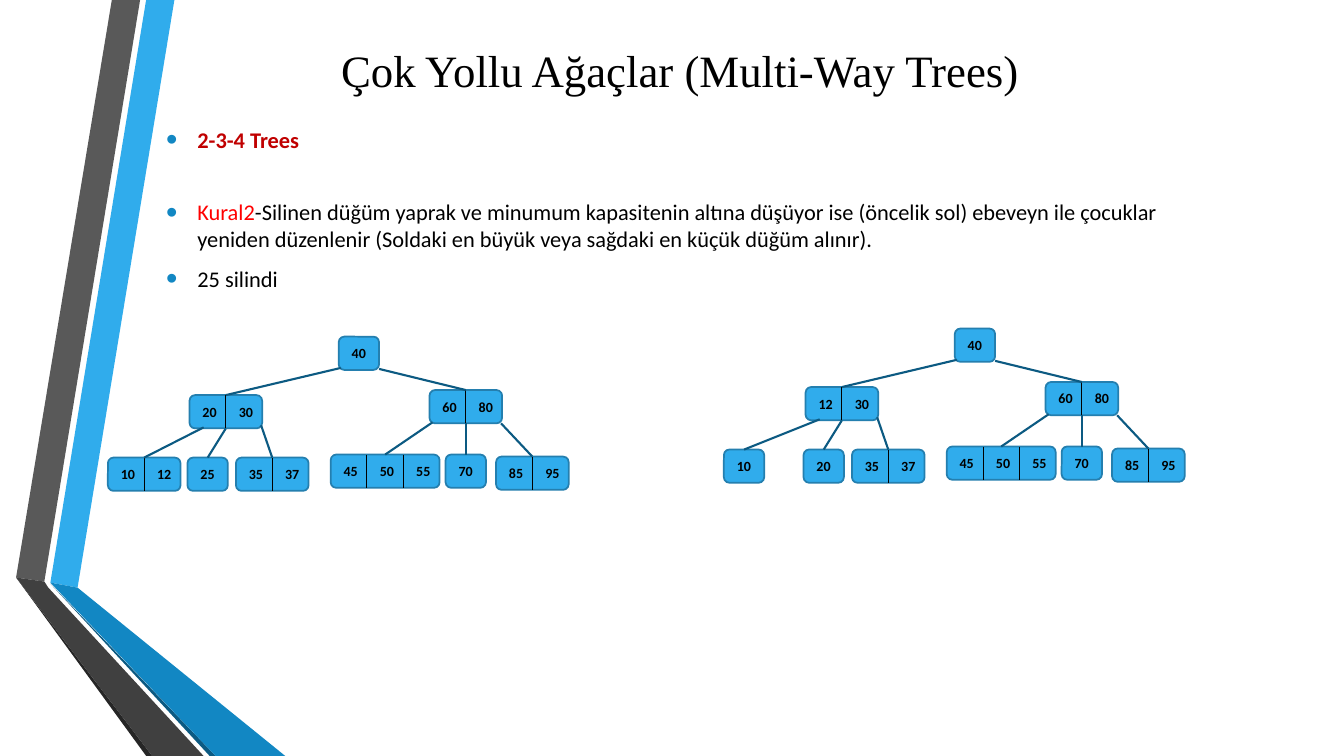
"""Build a slide showing a deletion in a 2-3-4 tree, before and after."""
from lxml.etree import SubElement
from pptx import Presentation
from pptx.dml.color import RGBColor
from pptx.enum.shapes import MSO_CONNECTOR, MSO_SHAPE
from pptx.enum.text import MSO_ANCHOR, PP_ALIGN
from pptx.oxml.ns import qn
from pptx.util import Inches, Pt

BLACK = RGBColor(0x00, 0x00, 0x00)
CRIMSON = RGBColor(0xC0, 0x00, 0x00)
RED = RGBColor(0xFF, 0x00, 0x00)
SKY = RGBColor(0x30, 0xAC, 0xEC)
NODE_LINE = RGBColor(0x24, 0x7F, 0xAF)
EDGE = RGBColor(0x0C, 0x5A, 0x82)
BLUE = RGBColor(0x12, 0x87, 0xC3)
GRAY = RGBColor(0x59, 0x59, 0x59)
DARK = RGBColor(0x40, 0x40, 0x40)
SHADE = RGBColor(0x26, 0x26, 0x26)

deck = Presentation()
deck.slide_width, deck.slide_height = Inches(13.33), Inches(7.5)
page = deck.slides.add_slide(deck.slide_layouts[6])


def add_text(para, text, size=16, color=BLACK, bold=False, font="Calibri"):
    span = para.add_run()
    span.text = text
    span.font.size, span.font.bold, span.font.name = Pt(size), bold, font
    span.font.color.rgb = color


def add_line(start, end, color, width, start_node=None, end_node=None):
    line = page.shapes.add_connector(
        MSO_CONNECTOR.STRAIGHT, *[Inches(value) for value in (*start, *end)])
    line.line.color.rgb, line.line.width = color, Pt(width)
    SubElement(line._element.spPr, qn("a:effectLst"))
    if start_node:
        line.begin_connect(*start_node)
    if end_node:
        line.end_connect(*end_node)


ribbons = [
    (SKY, [(0.5, 5.78), (0.77, 5.83), (1.73, 0), (1.45, 0)]),
    (GRAY, [(1.39, 0), (1.11, 0), (0.16, 5.73), (0.44, 5.77)]),
    (SHADE, [(0.16, 5.73), (1.45, 7.5), (1.51, 7.5)]),
    (EDGE, [(0.5, 5.79), (2.08, 7.5), (2.14, 7.5)]),
    (BLUE, [(0.5, 5.78), (2.14, 7.5), (2.83, 7.5), (0.77, 5.83)]),
    (DARK, [(2.02, 7.5), (0.48, 5.83), (0.44, 5.77), (0.16, 5.73), (1.51, 7.5)]),
]
for color, corners in ribbons:
    points = [(Inches(x), Inches(y)) for x, y in corners]
    outline = page.shapes.build_freeform(*points[0])
    outline.add_line_segments(points[1:], close=True)
    ribbon = outline.convert_to_shape()
    ribbon.shadow.inherit = False
    ribbon.fill.solid()
    ribbon.fill.fore_color.rgb = color
    ribbon.line.fill.background()

title = page.shapes.add_textbox(Inches(1.55), Inches(0.17), Inches(10.39), Inches(1.04)).text_frame
title.word_wrap = True
title.vertical_anchor = MSO_ANCHOR.MIDDLE
title.paragraphs[0].alignment = PP_ALIGN.CENTER
add_text(title.paragraphs[0], "Çok Yollu Ağaçlar (Multi-Way Trees)", size=32, font="Times New Roman")

body = page.shapes.add_textbox(Inches(1.55), Inches(1.07), Inches(10.39), Inches(1.92)).text_frame
body.word_wrap = True
heading, rule, example = body.paragraphs[0], body.add_paragraph(), body.add_paragraph()
for para in (heading, rule, example):
    para.space_before, para.space_after = Pt(3.2), Pt(6)
    properties = para._p.get_or_add_pPr()
    properties.set("marL", str(Inches(0.31)))
    properties.set("indent", str(-Inches(0.31)))
    bullet_color = SubElement(properties, qn("a:buClr"))
    SubElement(bullet_color, qn("a:srgbClr"), val=str(BLUE))
    SubElement(properties, qn("a:buSzPct"), val="145000")
    SubElement(properties, qn("a:buFont"), typeface="Arial")
    SubElement(properties, qn("a:buChar"), char="•")
heading.alignment = PP_ALIGN.JUSTIFY
heading.line_spacing = 1.5
heading.space_before, heading.space_after = Pt(0), Pt(29.2)
add_text(heading, "2-3-4 Trees", color=CRIMSON, bold=True)
add_text(rule, "Kural2", color=RED)
add_text(rule, "-Silinen düğüm yaprak ve minumum kapasitenin altına düşüyor ise (öncelik sol) "
               "ebeveyn ile çocuklar yeniden düzenlenir (Soldaki en büyük veya sağdaki en küçük düğüm alınır).")
add_text(example, "25 silindi")

KEY_WIDTH, SINGLE_WIDTH, NODE_HEIGHT = 0.36, 0.4, 0.33
places = {
    "root": (3.36, 3.34), "left": (1.88, 3.92), "right": (4.26, 3.87),
    "leaf 1": (1.07, 4.54), "leaf 2": (1.86, 4.54), "leaf 3": (2.34, 4.54),
    "leaf 4": (3.28, 4.51), "leaf 5": (4.42, 4.51), "leaf 6": (4.92, 4.53),
}
edges = [
    ("root", "left", (3.38, 3.65)), ("root", "right", (3.76, 3.66)),
    ("left", "leaf 1", (2.02, 4.24)), ("left", "leaf 2", None), ("left", "leaf 3", (2.59, 4.22)),
    ("right", "leaf 4", (4.29, 4.19)), ("right", "leaf 5", None), ("right", "leaf 6", (4.97, 4.2)),
]
shared_keys = {
    "root": ["40"], "right": ["60", "80"], "leaf 3": ["35", "37"],
    "leaf 4": ["45", "50", "55"], "leaf 5": ["70"], "leaf 6": ["85", "95"],
}
before = {"left": ["20", "30"], "leaf 1": ["10", "12"], "leaf 2": ["25"]}
after = {"left": ["12", "30"], "leaf 1": ["10"], "leaf 2": ["20"]}

for shift_x, shift_y, changed_keys in [(0, 0, before), (6.11, -0.08, after)]:
    nodes = {}
    for name, keys in (shared_keys | changed_keys).items():
        left, top = places[name][0] + shift_x, places[name][1] + shift_y
        width = SINGLE_WIDTH if len(keys) == 1 else KEY_WIDTH * len(keys)
        node = nodes[name] = page.shapes.add_shape(
            MSO_SHAPE.ROUNDED_RECTANGLE, Inches(left), Inches(top), Inches(width), Inches(NODE_HEIGHT))
        node.shadow.inherit = False
        node.fill.solid()
        node.fill.fore_color.rgb = SKY
        node.line.color.rgb, node.line.width = NODE_LINE, Pt(1.25)
        for index, key in enumerate(keys):
            key_left = left + index * KEY_WIDTH
            if index:
                middle = len(keys) == 2
                add_line((key_left, top), (key_left, top + NODE_HEIGHT), BLACK, 0.75,
                         (node, 0) if middle else None, (node, 2) if middle else None)
            box = page.shapes.add_textbox(
                Inches(key_left + 0.03), Inches(top + 0.03), Inches(KEY_WIDTH), Inches(0.27))
            box.text_frame.word_wrap = True
            add_text(box.text_frame.paragraphs[0], key, size=10, bold=True)
    for parent, child, start in edges:
        x, y = start or places[parent]
        add_line((x + shift_x, y + shift_y), (x + shift_x, y + shift_y), EDGE, 1.5,
                 None if start else (nodes[parent], 2), (nodes[child], 0))

deck.save("out.pptx")
